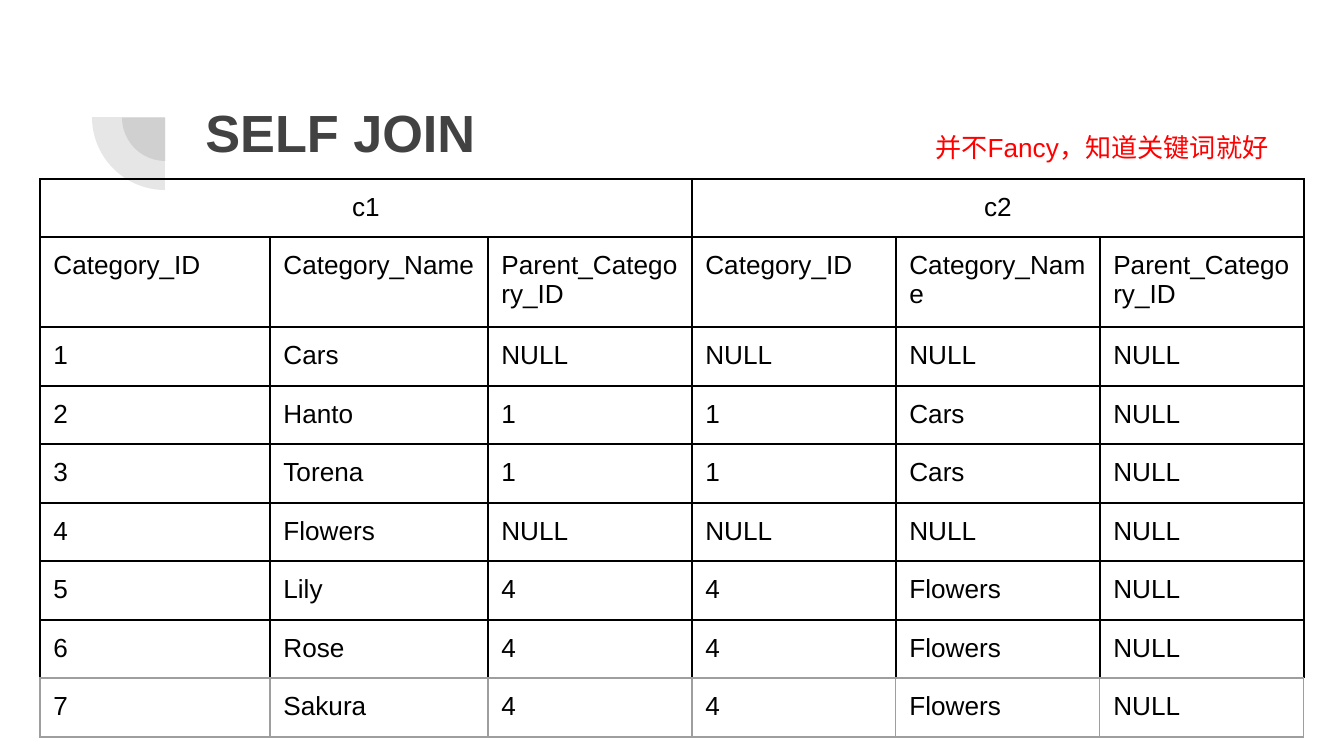
from lxml import etree
from pptx import Presentation
from pptx import util as u
from pptx.dml.color import RGBColor
from pptx.enum import shapes, text
from pptx.oxml.ns import qn

SCALE = 914400 / 134.4
BLACK, GREY, DARK, RED = "000000", "9E9E9E", "424242", "FF0000"

HEADINGS = ["Category_ID", "Category_Name", "Parent_Category_ID"]
CATEGORIES = [
    ("1", "Cars", "NULL"),
    ("2", "Hanto", "1"),
    ("3", "Torena", "1"),
    ("4", "Flowers", "NULL"),
    ("5", "Lily", "4"),
    ("6", "Rose", "4"),
    ("7", "Sakura", "4"),
]


def px(n):
    return u.Emu(round(n * SCALE))


def color(value):
    return RGBColor.from_string(value)


def self_join(categories):
    """Left-join each category to its parent category."""
    by_id = {row[0]: row for row in categories}
    return [row + by_id.get(row[2], ("NULL",) * 3) for row in categories]


class Deck:
    """Holds the text style and the current slide."""
    font = "Arial"
    inset = u.Inches(0.1)

    def __init__(self, width, height):
        self.prs = Presentation()
        self.prs.slide_width, self.prs.slide_height = px(width), px(height)
        self.s = self.prs.slides.add_slide(self.prs.slide_layouts[5])

    def add_text(self, tf, words, size, rgb, bold=False, align=text.PP_ALIGN.LEFT):
        p = tf.paragraphs[0]
        p.alignment = align
        r = p.add_run()
        r.text = words
        style = {"name": self.font, "size": u.Pt(size), "bold": bold}
        for name, value in style.items():
            setattr(r.font, name, value)
        r.font.color.rgb = color(rgb)

    def frame(self, tf):
        layout = {"word_wrap": True, "auto_size": text.MSO_AUTO_SIZE.NONE,
                  "vertical_anchor": text.MSO_ANCHOR.TOP}
        layout.update({f"margin_{side}": self.inset
                       for side in ("left", "right", "top", "bottom")})
        for name, value in layout.items():
            setattr(tf, name, value)

    def title(self, x, y, w, h, words):
        sp = self.s.shapes.title
        for name, value in dict(left=x, top=y, width=w, height=h).items():
            setattr(sp, name, px(value))
        self.frame(sp.text_frame)
        self.add_text(sp.text_frame, words, 28, DARK, bold=True)

    def note(self, x, y, w, h, words):
        sp = self.s.shapes.add_textbox(px(x), px(y), px(w), px(h))
        self.frame(sp.text_frame)
        self.add_text(sp.text_frame, words, 14, RED)

    def quarter(self, x, y, size):
        """Add a translucent quarter disc, turned to the lower left."""
        sp = self.s.shapes.add_shape(shapes.MSO_SHAPE.PIE, px(x), px(y), px(size), px(size))
        sp.adjustments[0], sp.adjustments[1] = 108, 162
        sp.rotation = 270
        sp.shadow.inherit = False
        sp.line.fill.background()
        sp.fill.solid()
        sp.fill.fore_color.rgb = color(DARK)
        rgb = sp.element.spPr.find(qn("a:solidFill")).find(qn("a:srgbClr"))
        etree.SubElement(rgb, qn("a:alpha"), val="13000")

    def borders(self, cell, **edges):
        """Draw cell edges given as side=(colour, points)."""
        tc_pr = cell._tc.get_or_add_tcPr()
        for i, side in enumerate("LRTB"):
            rgb, width = edges[side]
            ln = etree.Element(qn(f"a:ln{side}"), w=str(int(u.Pt(width))))
            fill = etree.SubElement(ln, qn("a:solidFill"))
            etree.SubElement(fill, qn("a:srgbClr"), val=rgb)
            tc_pr.insert(i, ln)

    def table(self, x, y, widths, heights, groups, rows):
        """Add a table whose first row merges equal spans, one per group."""
        shape = self.s.shapes.add_table(len(heights), len(widths), px(x), px(y),
                                        px(sum(widths)), px(sum(heights)))
        table = shape.table
        table.first_row = table.horz_banding = False
        for column, width in zip(table.columns, widths):
            column.width = px(width)
        for row, height in zip(table.rows, heights):
            row.height = px(height)

        span = len(widths) // len(groups)
        for i, group in enumerate(groups):
            first = table.cell(0, i * span)
            first.merge(table.cell(0, (i + 1) * span - 1))
            self.add_text(first.text_frame, group, 14, BLACK, align=text.PP_ALIGN.CENTER)
        for i, row in enumerate(rows, 1):
            for j, words in enumerate(row):
                self.add_text(table.cell(i, j).text_frame, words, 14, BLACK)

        last = len(heights) - 1
        for i in range(len(heights)):
            for j in range(len(widths)):
                cell = table.cell(i, j)
                for side in ("left", "right", "top", "bottom"):
                    setattr(cell, f"margin_{side}", self.inset)
                cell.fill.background()
                black, grey = (BLACK, 1), (GREY, 0.75)
                edge = grey if i == last else black
                self.borders(cell, L=edge, R=edge, T=edge,
                             B=grey if i >= last - 1 else black)


def main():
    deck = Deck(1344, 756)
    deck.quarter(122, 74, 87)
    deck.quarter(92, 44, 146)
    deck.title(192, 87, 1034, 146, "SELF JOIN")
    rows = [HEADINGS * 2] + self_join(CATEGORIES)
    heights = [58, 90] + [58 if i % 2 else 59 for i in range(len(CATEGORIES))]
    deck.table(40, 179, [230, 218] + [204] * 4, heights, ["c1", "c2"], rows)
    deck.note(922, 118, 375, 85, "并不Fancy，知道关键词就好")
    deck.prs.save("out.pptx")


if __name__ == "__main__":
    main()
